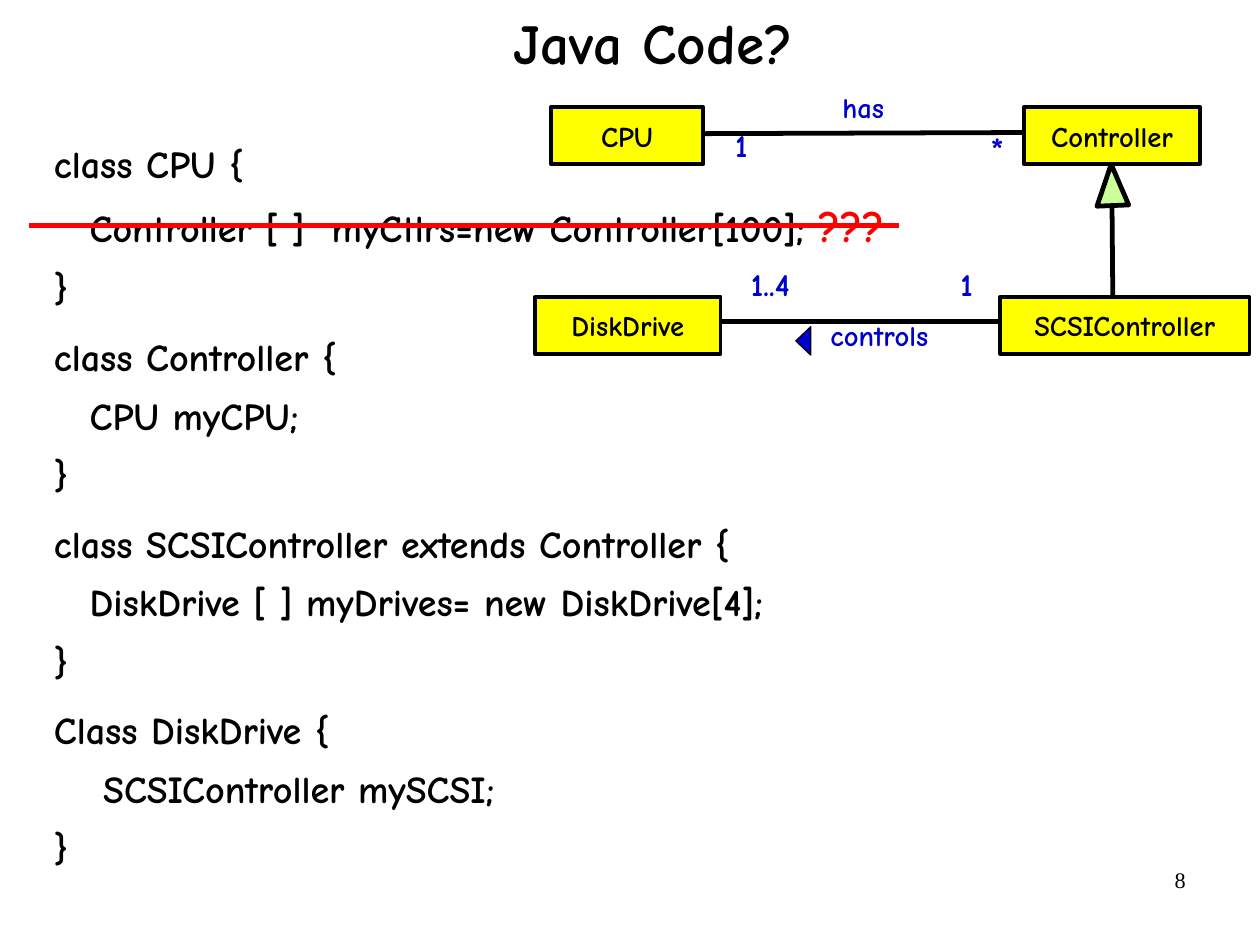
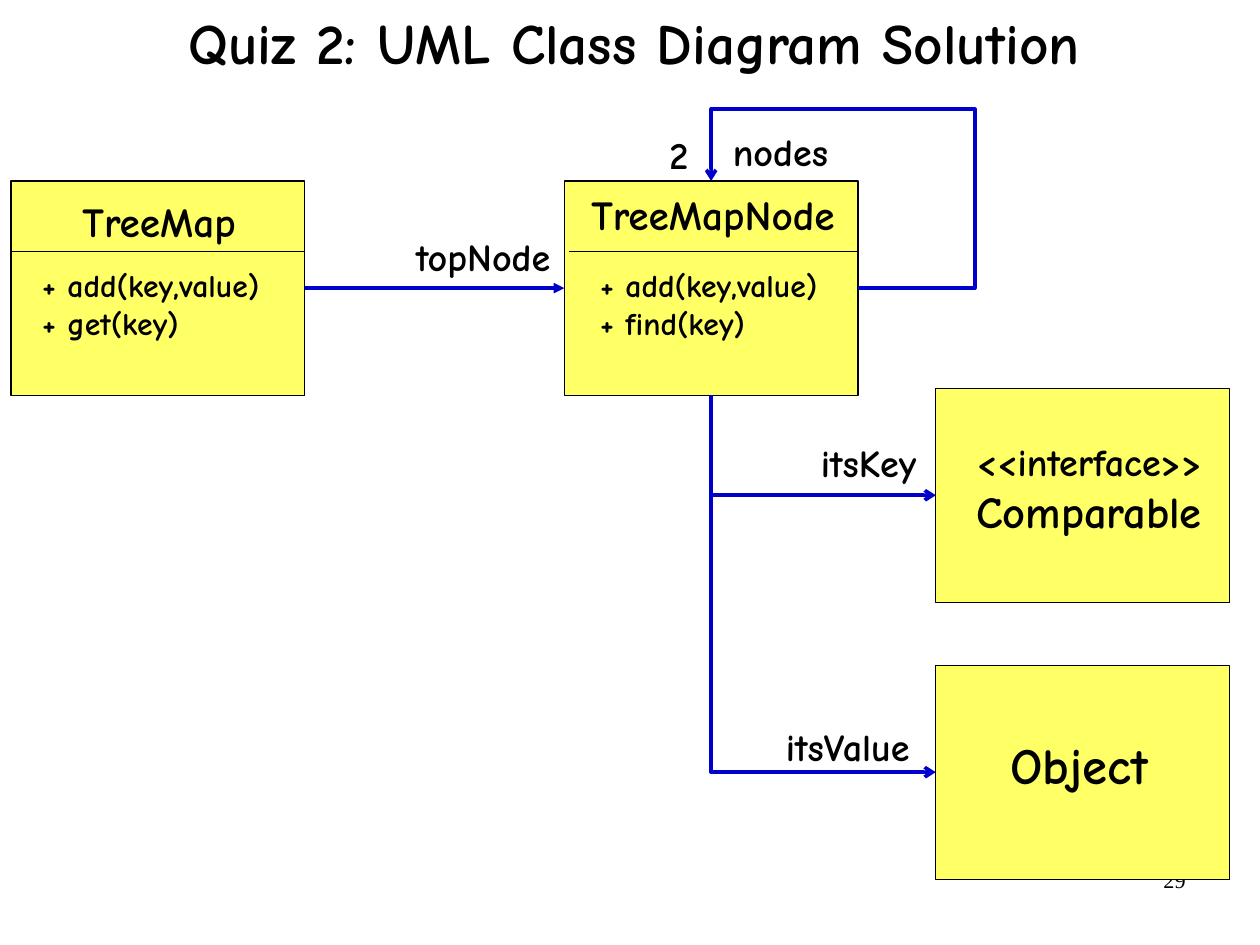
from lxml.etree import SubElement
from pptx import Presentation
from pptx.dml.color import RGBColor
from pptx.enum.shapes import MSO_CONNECTOR as Link, MSO_SHAPE as Preset
from pptx.enum.text import MSO_ANCHOR as Anchor, PP_ALIGN as Align
from pptx.oxml.ns import qn
from pptx.util import Pt

COLORS = {
    "ink": "000000",
    "blue": "0000CC",
    "red": "FF0000",
    "class": "FFFF00",
    "uml": "FFFF66",
    "arrow": "CCFF99",
}
FONT = "Comic Neue"
NUMBER_FONT = "Times New Roman"


def rgb(name):
    return RGBColor.from_string(COLORS[name])


class Deck:
    """Holds the shared style and the slide being drawn."""

    def __init__(self, width, height):
        self.deck = Presentation()
        self.deck.slide_width, self.deck.slide_height = Pt(width), Pt(height)
        self.page = None

    def new_page(self, title, title_left, number):
        self.page = self.deck.slides.add_slide(self.deck.slide_layouts[6])
        self.text([str(number)], 569, 542, 185, 41, size=14, font=NUMBER_FONT,
                  bold=False, align=Align.RIGHT)
        self.text([title], title_left, 0, 677, 58, size=36, align=Align.CENTER,
                  anchor=Anchor.MIDDLE, inset=(0, 0), spacing=0.88)

    def style(self, para, size, color="ink", font=FONT, bold=True):
        para.font.size, para.font.name, para.font.bold = Pt(size), font, bold
        para.font.color.rgb = rgb(color)

    def frame(self, box, anchor=Anchor.TOP, inset=(7.2, 3.6), wrap=True):
        frame = box.text_frame
        frame.word_wrap, frame.vertical_anchor = wrap, anchor
        frame.margin_left = frame.margin_right = Pt(inset[0])
        frame.margin_top = frame.margin_bottom = Pt(inset[1])
        return frame

    def text(self, lines, left, top, width, height, size=24, color="ink",
             font=FONT, bold=True, align=Align.LEFT, anchor=Anchor.TOP,
             inset=(7.2, 3.6), spacing=1.0):
        box = self.page.shapes.add_textbox(Pt(left), Pt(top), Pt(width), Pt(height))
        frame = self.frame(box, anchor, inset)
        for index, line in enumerate(lines):
            para = frame.paragraphs[0] if index == 0 else frame.add_paragraph()
            para.text, para.alignment, para.line_spacing = line, align, spacing
            self.style(para, size, color, font, bold)
        return frame

    def code(self, lines, left, top, width, height, size=24, indent=22.5):
        """Lines are (depth, code, space after, red remark)."""
        frame = self.text([line for _, line, _, _ in lines], left, top, width,
                          height, size, inset=(0, 0), spacing=0.9)
        for para, (depth, _, after, remark) in zip(frame.paragraphs, lines):
            para.space_after = Pt(after)
            if depth:
                para._p.get_or_add_pPr().set("marL", str(Pt(depth * indent)))
            if remark:
                span = para.add_run()
                span.text = remark
                span.font.size, span.font.color.rgb = Pt(28), rgb("red")

    def shape(self, preset, left, top, width, height, fill, weight, turn=0):
        shape = self.page.shapes.add_shape(preset, Pt(left), Pt(top), Pt(width), Pt(height))
        shape.shadow.inherit = False
        shape.fill.solid()
        shape.fill.fore_color.rgb = rgb(fill)
        shape.line.color.rgb, shape.line.width = rgb("ink"), Pt(weight)
        shape.rotation = turn
        return shape

    def class_box(self, name, left, top, width):
        box = self.shape(Preset.RECTANGLE, left, top, width, 36, "class", 2.25)
        para = self.frame(box, Anchor.MIDDLE, (8, 4), wrap=False).paragraphs[0]
        para.text, para.alignment = name, Align.CENTER
        self.style(para, 18)

    def line(self, start=(0, 0), end=(0, 0), color="ink", weight=3.0, head=None,
             tail=None, glue_start=None, glue_end=None, bend=None, adjust=()):
        """Glue is (shape, site): 0 top, 1 left, 2 bottom, 3 right."""
        line = self.page.shapes.add_connector(
            Link.ELBOW if bend else Link.STRAIGHT, *map(Pt, start + end))
        if glue_start:
            line.begin_connect(*glue_start)
        if glue_end:
            line.end_connect(*glue_end)
        line.line.color.rgb, line.line.width = rgb(color), Pt(weight)
        properties = line._element.spPr
        if bend:
            geometry = properties.find(qn("a:prstGeom"))
            geometry.set("prst", bend)
            for index, value in enumerate(adjust, 1):
                SubElement(geometry.find(qn("a:avLst")), qn("a:gd"),
                           name=f"adj{index}", fmla=f"val {value}")
        for tag, kind in (("a:headEnd", head), ("a:tailEnd", tail)):
            if kind:
                SubElement(properties.find(qn("a:ln")), qn(tag), type=kind)
        SubElement(properties, qn("a:effectLst"))


def java_page(deck):
    deck.new_page("Java Code?", 73, 8)

    # Code listing
    classes = [
        ("class CPU {", "Controller [ ]  myCtlrs=new Controller[100]; ", "???"),
        ("class Controller {", "CPU myCPU;", ""),
        ("class SCSIController extends Controller {",
         "DiskDrive [ ] myDrives= new DiskDrive[4];", ""),
        ("Class DiskDrive {", " SCSIController mySCSI;", ""),
    ]
    lines = []
    for opening, member, remark in classes:
        lines += [(0, opening, 10.9, ""), (1, member, 10.9, remark), (0, "}", 18, "")]
    deck.code(lines, 34, 91.5, 690, 503)

    # Class boxes
    for name, left, top, width in [
        ("CPU", 347, 67.5, 96),
        ("Controller", 645, 67.5, 111),
        ("SCSIController", 630, 187, 157),
        ("DiskDrive", 337, 187, 117),
    ]:
        deck.class_box(name, left, top, width)

    # Inheritance and associations
    deck.shape(Preset.ISOSCELES_TRIANGLE, 690.5, 103.5, 20, 26, "arrow", 3, turn=-2.3)
    deck.line((700.5, 131), (701, 187))
    deck.line((443, 84.2), (645, 83.5))
    deck.line((453, 202.5), (630, 202.5))

    # Multiplicities
    for mark, left, top, size in [("1", 463, 79, 20), ("*", 624, 80.5, 22),
                                  ("1..4", 473, 167, 20), ("1", 605, 167, 20)]:
        deck.text([mark], left, top, 40, 24, size, "blue", inset=(0, 0))

    # Association names
    for name, left, top, width in [("controls", 516, 201, 99), ("has", 523.5, 57.5, 54)]:
        deck.text([name], left, top, width, 24.5, 18, "blue", spacing=0.8)
    deck.shape(Preset.ISOSCELES_TRIANGLE, 497, 210, 18, 9.5, "blue", 0.75, turn=270)

    # Strike through the wrong line
    deck.line((18.5, 142), (566, 142), "red")


def quiz_page(deck):
    deck.new_page("Quiz 2: UML Class Diagram Solution", 61, 29)

    # Class boxes, all one size
    tree, node, key, value = [
        deck.shape(Preset.RECTANGLE, left, top, 185, 135, "uml", 0.75)
        for left, top in [(7, 114), (355.5, 114), (589.5, 244.5), (589.5, 419)]
    ]

    # Associations
    blue = {"color": "blue", "weight": 2.25}
    deck.line(glue_start=(tree, 3), glue_end=(node, 1), tail="triangle", **blue)
    deck.line(glue_start=(node, 3), glue_end=(node, 0), tail="arrow",
              bend="bentConnector4", adjust=(-79600, 167100), **blue)
    deck.line(glue_start=(value, 1), glue_end=(node, 2), head="arrow",
              bend="bentConnector2", **blue)
    deck.line((448, 312), glue_end=(key, 1), tail="arrow", **blue)

    # Association names
    for name, left, top in [("topNode", 255, 147.5), ("itsValue", 488, 456),
                            ("itsKey", 510, 277), ("2", 414.5, 83), ("nodes", 454.5, 81.5)]:
        deck.text([name], left, top, 110, 32.5, spacing=0.87)

    # Names and methods of the two tree classes
    for name, methods, name_at, methods_left, rule in [
        ("TreeMap", ["+ add(key,value)", "+ get(key)"], (44, 119.5), 18.5, (7, 192)),
        ("TreeMapNode", ["+ add(key,value)", "+ find(key)"], (364.5, 115), 370, (358.5, 540.5)),
    ]:
        deck.line((rule[0], 158.5), (rule[1], 158.5), weight=0.75)
        deck.text([name], *name_at, 175, 39, 26, inset=(8, 4))
        deck.text(methods, methods_left, 163.5, 165, 56, 20, inset=(8, 4))

    # Names of the other two
    frame = deck.text(["<<interface>>", "Comparable"], 607, 272, 170, 70.5, inset=(8, 4))
    frame.paragraphs[1].font.size = Pt(28)
    deck.text(["Object"], 620, 458.5, 120, 45.5, 32, align=Align.CENTER)


def main():
    deck = Deck(793.7, 595.3)
    java_page(deck)
    quiz_page(deck)
    deck.deck.save("out.pptx")


if __name__ == "__main__":
    main()
